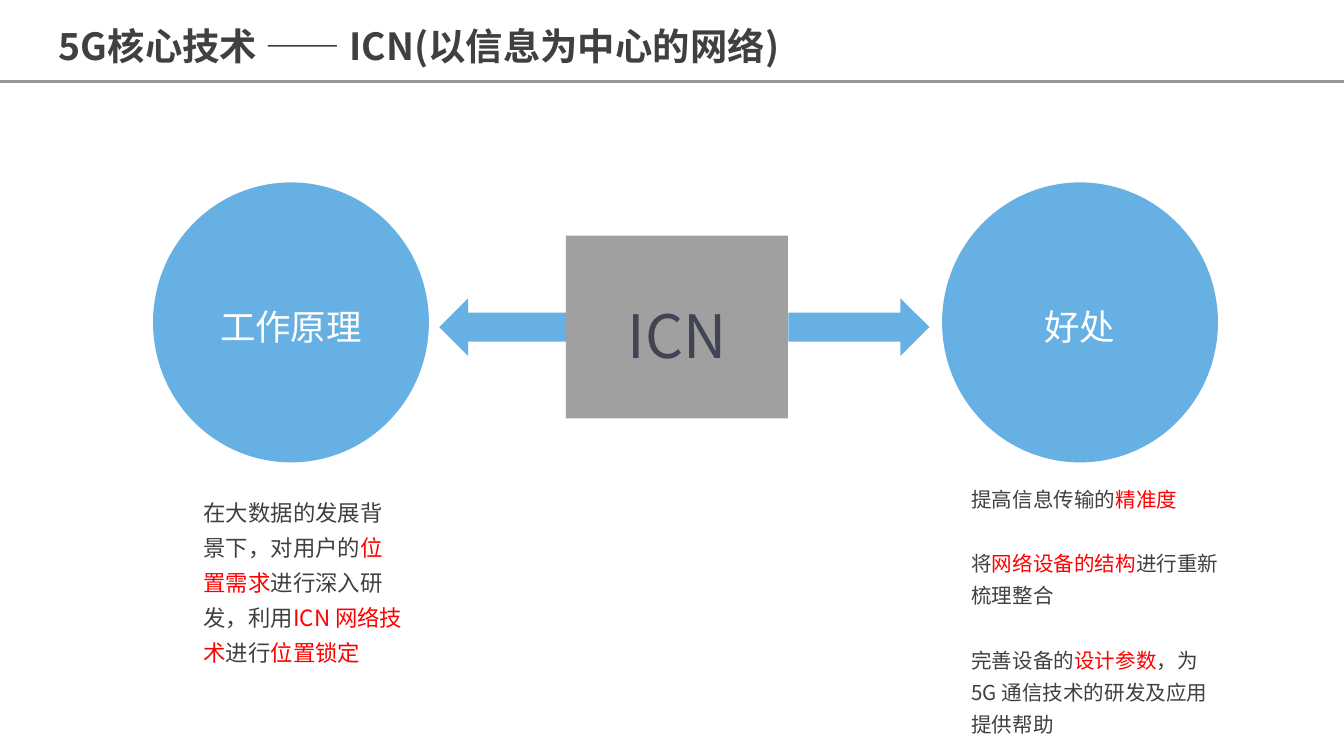
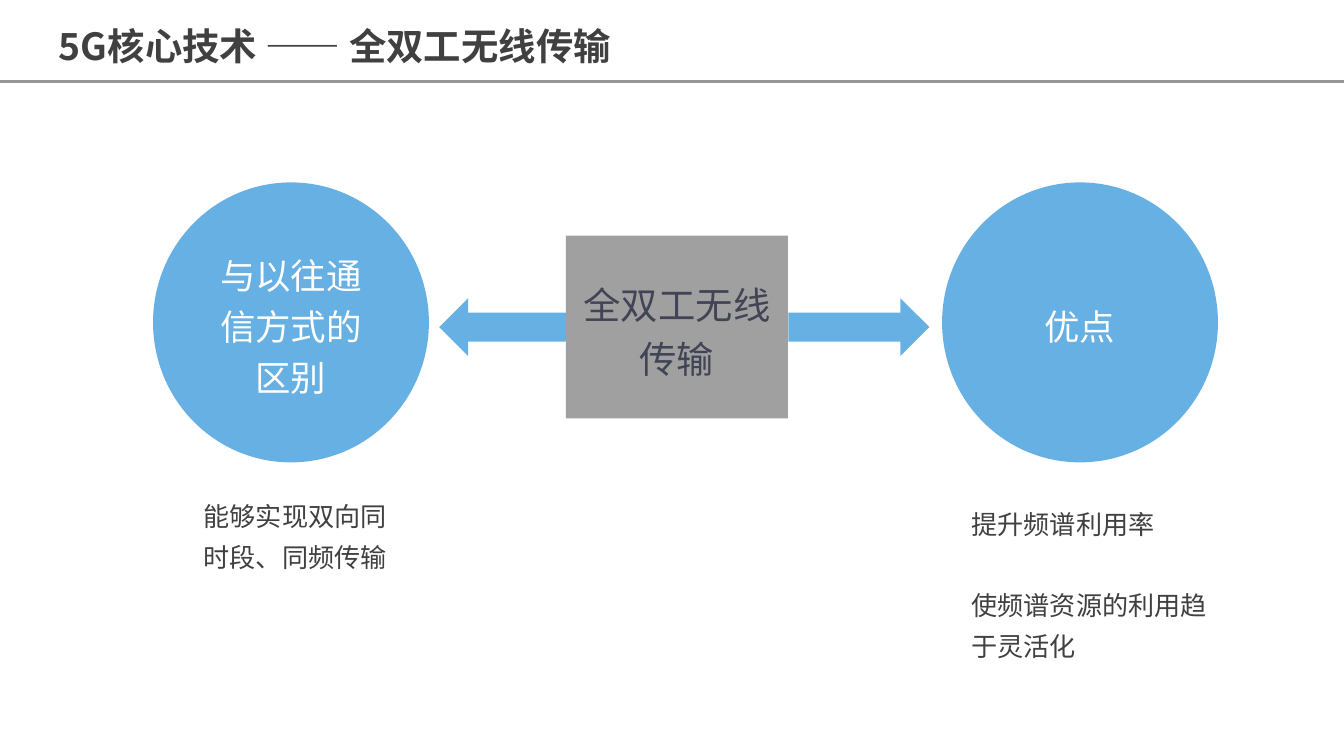
"""Builds two slides on 5G core technologies, each a hub with two circles and notes."""
from pptx import Presentation
from pptx.dml.color import RGBColor
from pptx.enum.shapes import MSO_CONNECTOR, MSO_SHAPE
from pptx.enum.text import MSO_ANCHOR, MSO_AUTO_SIZE, PP_ALIGN
from pptx.oxml.ns import qn
from pptx.util import Pt
from lxml.etree import SubElement

FONT = "Noto Sans CJK SC"
BLUE = RGBColor(0x67, 0xB0, 0xE3)
GREY = RGBColor(0xA0, 0xA0, 0xA0)
RULE_GREY = RGBColor(0x96, 0x96, 0x96)
DARK = RGBColor(0x40, 0x40, 0x40)
SLATE = RGBColor(0x41, 0x44, 0x55)
RED = RGBColor(0xFF, 0x00, 0x00)
WHITE = RGBColor(0xFF, 0xFF, 0xFF)

SLIDE_WIDTH, SLIDE_HEIGHT = 720, 405
RULE_TOP = 43.8
CIRCLE_TOP, CIRCLE_WIDTH, CIRCLE_HEIGHT = 97.75, 147.8, 150
CIRCLE_LEFTS = (82, 504.7)
HUB = (303.2, 126.2, 119, 98)
ARROW_TOP, ARROW_HEIGHT = 159.7, 31.1
ARROWS = ((MSO_SHAPE.RIGHT_ARROW, 422.4, 75.5), (MSO_SHAPE.LEFT_ARROW, 235.3, 67.9))
NOTE_COLUMNS = ((101.5, 122.4), (512.8, 148.5))
INSET_X, INSET_Y = 7.6, 3.8
NOTE_GAP = 1.56

# Text between bars is emphasised in red.
SLIDES = [
    {
        "title": "5G核心技术 —— ICN(以信息为中心的网络)",
        "title_width": 403,
        "hub": ("ICN", 32),
        "circles": ("工作原理", "好处"),
        "notes": [
            (259.2, 104.4, 12, [
                "在大数据的发展背景下，对用户的|位置需求|进行深入研发，利用"
                "|ICN 网络技术|进行|位置锁定|",
            ]),
            (253.4, 144.7, 11, [
                "提高信息传输的|精准度|",
                "将|网络设备的结构|进行重新梳理整合",
                "完善设备的|设计参数|，为5G 通信技术的研发及应用提供帮助",
            ]),
        ],
    },
    {
        "title": "5G核心技术 —— 全双工无线传输",
        "title_width": 369.4,
        "hub": ("全双工无线传输", 20),
        "circles": ("与以往通信方式的区别", "优点"),
        "notes": [
            (259.2, 49.7, 14, ["能够实现双向同时段、同频传输"]),
            (263.5, 93.6, 14, ["提升频谱利用率", "使频谱资源的利用趋于灵活化"]),
        ],
    },
]


def style_run(run, size, color, bold=False):
    run.font.size = Pt(size)
    run.font.name = FONT
    run.font.bold = bold
    run.font.color.rgb = color
    SubElement(run.font._element, qn("a:ea")).set("typeface", FONT)


def set_insets(text_frame):
    text_frame.margin_left = text_frame.margin_right = Pt(INSET_X)
    text_frame.margin_top = text_frame.margin_bottom = Pt(INSET_Y)


def add_block(slide, kind, left, top, width, height, fill):
    shape = slide.shapes.add_shape(kind, Pt(left), Pt(top), Pt(width), Pt(height))
    shape.shadow.inherit = False
    shape.fill.solid()
    shape.fill.fore_color.rgb = fill
    shape.line.fill.background()
    return shape


def add_label(shape, text, size, color):
    text_frame = shape.text_frame
    set_insets(text_frame)
    text_frame.word_wrap = True
    text_frame.vertical_anchor = MSO_ANCHOR.MIDDLE
    paragraph = text_frame.paragraphs[0]
    paragraph.text = text
    paragraph.alignment = PP_ALIGN.CENTER
    paragraph.line_spacing = 1.2
    style_run(paragraph.runs[0], size, color)


def add_text_box(slide, left, top, width, height):
    text_frame = slide.shapes.add_textbox(
        Pt(left), Pt(top), Pt(width), Pt(height)).text_frame
    text_frame.word_wrap = True
    text_frame.auto_size = MSO_AUTO_SIZE.SHAPE_TO_FIT_TEXT
    return text_frame


def add_title(slide, text, width):
    paragraph = add_text_box(slide, 24.5, 4.3, width, 36).paragraphs[0]
    paragraph.text = text
    paragraph.line_spacing = 1.2
    style_run(paragraph.runs[0], 20, DARK, bold=True)


def add_notes(slide, left, width, top, height, size, notes):
    text_frame = add_text_box(slide, left, top, width, height)
    set_insets(text_frame)
    for index, note in enumerate(notes):
        paragraph = text_frame.add_paragraph() if index else text_frame.paragraphs[0]
        paragraph.line_spacing = 1.3
        if index:
            paragraph.space_before = Pt(size * NOTE_GAP)
        for part, text in enumerate(note.split("|")):
            if text:
                run = paragraph.add_run()
                run.text = text
                style_run(run, size, RED if part % 2 else DARK)


def add_rule(slide):
    rule = slide.shapes.add_connector(
        MSO_CONNECTOR.STRAIGHT, 0, Pt(RULE_TOP), Pt(SLIDE_WIDTH), Pt(RULE_TOP))
    rule.line.color.rgb = RULE_GREY
    rule.line.width = Pt(1.75)
    SubElement(rule._element.spPr, qn("a:effectLst"))


def build_slide(presentation, content):
    slide = presentation.slides.add_slide(presentation.slide_layouts[6])
    add_rule(slide)
    for kind, left, width in ARROWS:
        add_block(slide, kind, left, ARROW_TOP, width, ARROW_HEIGHT, BLUE)
    for left, text in zip(CIRCLE_LEFTS, content["circles"]):
        circle = add_block(slide, MSO_SHAPE.OVAL, left, CIRCLE_TOP,
                           CIRCLE_WIDTH, CIRCLE_HEIGHT, BLUE)
        add_label(circle, text, 19, WHITE)
    hub = add_block(slide, MSO_SHAPE.RECTANGLE, *HUB, GREY)
    add_label(hub, *content["hub"], SLATE)
    for column, notes in zip(NOTE_COLUMNS, content["notes"]):
        add_notes(slide, *column, *notes)
    add_title(slide, content["title"], content["title_width"])


def main():
    presentation = Presentation()
    presentation.slide_width = Pt(SLIDE_WIDTH)
    presentation.slide_height = Pt(SLIDE_HEIGHT)
    for content in SLIDES:
        build_slide(presentation, content)
    presentation.save("out.pptx")


if __name__ == "__main__":
    main()
